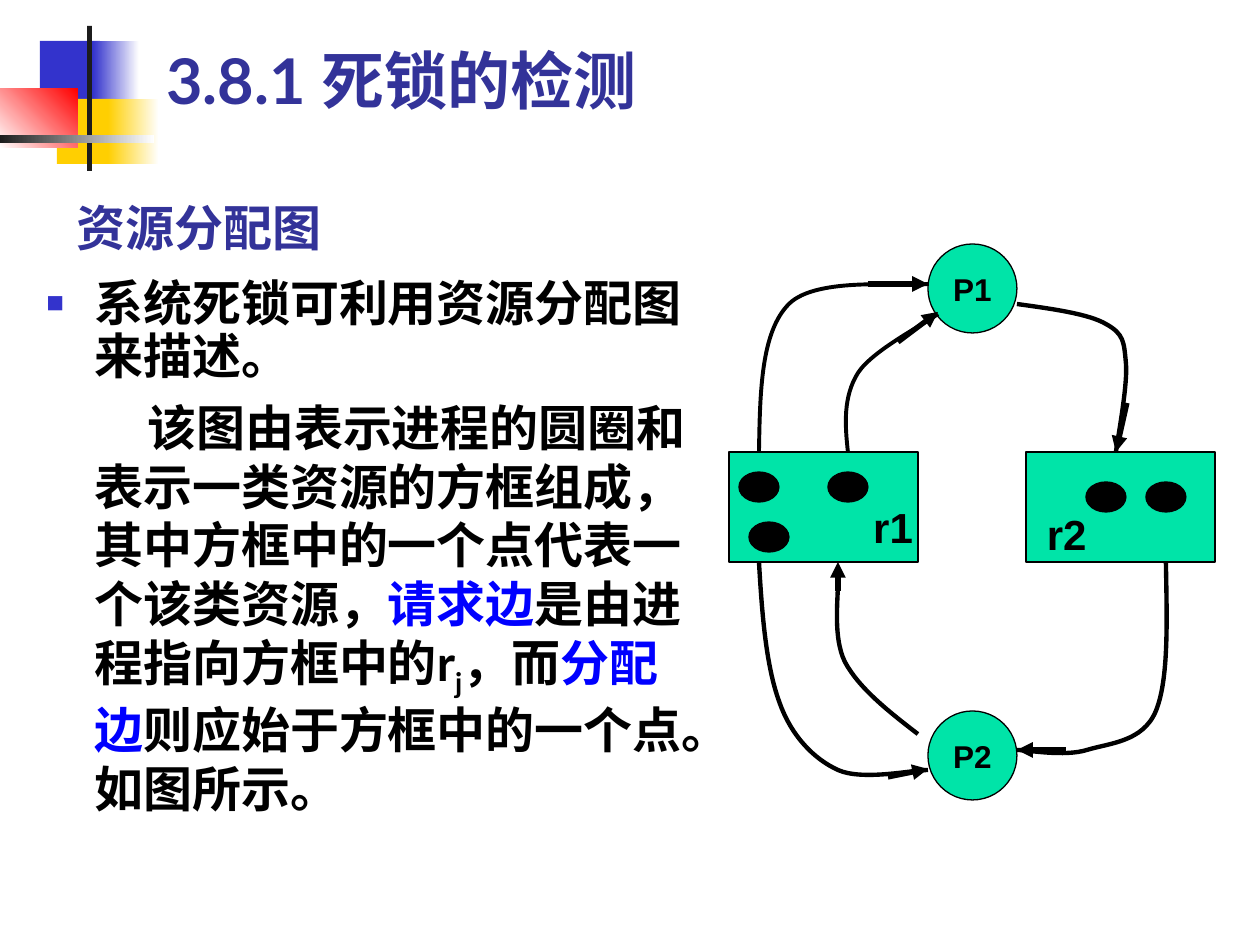
from lxml.etree import SubElement
from pptx import Presentation
from pptx.dml.color import RGBColor
from pptx.enum.shapes import MSO_CONNECTOR, MSO_SHAPE
from pptx.enum.text import MSO_ANCHOR, PP_ALIGN
from pptx.oxml.ns import qn
from pptx.util import Pt

PX = 914400 // 126  # EMU per px

INDIGO = RGBColor(0x33, 0x33, 0x99)
BLUE = RGBColor(0x33, 0x33, 0xCC)
LINK_BLUE = RGBColor(0x00, 0x00, 0xFF)
YELLOW = RGBColor(0xFF, 0xCF, 0x01)
RED = RGBColor(0xFF, 0x00, 0x00)
CHARCOAL = RGBColor(0x1C, 0x1C, 0x1C)
GREEN = RGBColor(0x00, 0xE4, 0xA8)
BLACK = RGBColor(0x00, 0x00, 0x00)
WHITE = RGBColor(0xFF, 0xFF, 0xFF)

# box, colours (two make a gradient), gradient angle
DECORATION = [
    ((40, 41, 60, 65), (BLUE,), 0),
    ((93, 41, 46, 65), (BLUE, WHITE), 0),
    ((57, 99, 58, 65), (YELLOW,), 0),
    ((108, 99, 51, 65), (YELLOW, WHITE), 0),
    ((0, 89, 78, 59), (WHITE, RED), 45),
    ((87, 26, 5, 145), (CHARCOAL,), 0),
    ((0, 135, 154, 8), (CHARCOAL, WHITE), 0),
]

# text, box, size
HEADINGS = [
    ("资源分配图", (64, 185, 427, 78), 28),
    ("3.8.1 死锁的检测", (154, 35, 1074, 88), 36),
]

BODY_BOX = (34, 273, 674, 567)
HANGING = 48
FIRST_LINE = 53
INTRO = "系统死锁可利用资源分配图来描述。"
# text, colour, baseline shift in thousandths of a percent
EXPLANATION = [
    ("该图由表示进程的圆圈和表示一类资源的方框组成，其中方框中的一个点代表一个该类资源，", BLACK, 0),
    ("请求边", LINK_BLUE, 0),
    ("是由进程指向方框中的r", BLACK, 0),
    ("j", BLACK, -25000),
    ("，而", BLACK, 0),
    ("分配边", LINK_BLUE, 0),
    ("则应始于方框中的一个点。如图所示。", BLACK, 0),
]

PROCESS_SIZE = 89
PROCESSES = [("P1", 928, 244), ("P2", 928, 711)]
RESOURCE_SIZE = (189, 110)
# label, left, top, alignment, side inset, bottom inset
RESOURCES = [
    ("r1", 729, 452, PP_ALIGN.RIGHT, 5, 10),
    ("r2", 1026, 452, PP_ALIGN.LEFT, 21, 3),
]
DOT_SIZE = (40, 30)
DOTS = [(739, 472), (828, 472), (749, 522), (1086, 482), (1146, 482)]

# Bezier points (start, then three per curve), width, arrow start and end
EDGES = [
    ([(918, 734), (888, 711), (859, 688), (845, 662), (832, 636), (839, 593), (838, 578)],
     2.5, (838, 591), (838, 562)),
    ([(759, 452), (760, 392), (761, 332), (789, 304), (817, 276), (905, 287), (928, 284)],
     2.25, (868, 284), (928, 284)),
    ([(848, 452), (845, 425), (843, 397), (858, 373), (873, 350), (925, 324), (938, 314)],
     2.25, (898, 342), (938, 312)),
    ([(1017, 304), (1053, 309), (1089, 314), (1106, 324), (1124, 334), (1124, 342),
      (1126, 363), (1128, 384), (1118, 437), (1116, 452)],
     2.5, (1127, 403), (1116, 452)),
    ([(1166, 562), (1167, 620), (1169, 679), (1156, 711), (1143, 742), (1110, 743),
      (1087, 750), (1064, 757), (1028, 750), (1017, 750)],
     2.5, (1066, 750), (1017, 750)),
    ([(759, 562), (762, 614), (766, 665), (779, 701), (791, 736), (814, 759),
      (838, 770), (863, 781), (912, 770), (928, 770)],
     2.5, (888, 777), (928, 769)),
]


def scaled(values):
    return [value * PX for value in values]


def set_font(font, size, name, color):
    font.size, font.name, font.bold = Pt(size), name, True
    font.color.rgb = color


def add_box(kind, box, colors, angle=0, outlined=True):
    shape = slide.shapes.add_shape(kind, *scaled(box))
    shape.shadow.inherit = False
    if len(colors) == 1:
        shape.fill.solid()
        shape.fill.fore_color.rgb = colors[0]
    else:
        shape.fill.gradient()
        shape.fill.gradient_angle = angle
        for stop, color in zip(shape.fill.gradient_stops, colors):
            stop.color.rgb = color
    if outlined:
        shape.line.color.rgb = BLACK
        shape.line.width = Pt(0.75)
    else:
        shape.line.fill.background()
    return shape


def add_label(shape, text, size, align, anchor, insets):
    frame = shape.text_frame
    frame.word_wrap = True
    frame.vertical_anchor = anchor
    (frame.margin_left, frame.margin_top,
     frame.margin_right, frame.margin_bottom) = scaled(insets)
    label = frame.paragraphs[0]
    label.text = text
    label.alignment = align
    set_font(label.font, size, "Arial", BLACK)


def add_heading(text, box, size):
    frame = slide.shapes.add_textbox(*scaled(box)).text_frame
    frame.word_wrap = True
    frame.vertical_anchor = MSO_ANCHOR.BOTTOM
    heading = frame.paragraphs[0]
    heading.text = text
    set_font(heading.font, size, "Lato", INDIGO)


def set_indent(paragraph, first):
    props = paragraph._p.get_or_add_pPr()
    props.set("marL", str(HANGING * PX))
    props.set("indent", str(first * PX))
    return props


def add_body():
    frame = slide.shapes.add_textbox(*scaled(BODY_BOX)).text_frame
    frame.word_wrap = True
    intro = frame.paragraphs[0]
    intro.text = INTRO
    intro.line_spacing = 0.9
    props = set_indent(intro, -HANGING)
    SubElement(SubElement(props, qn("a:buClr")), qn("a:srgbClr"), val=str(BLUE))
    SubElement(props, qn("a:buSzPct"), val="60000")
    SubElement(props, qn("a:buFont"), typeface="Arial")
    SubElement(props, qn("a:buChar"), char="■")
    set_font(intro.font, 28, "Lato", BLACK)

    explanation = frame.add_paragraph()
    explanation.space_before = Pt(7)
    set_indent(explanation, FIRST_LINE)
    set_font(explanation.font, 28, "Lato", BLACK)
    for text, color, baseline in EXPLANATION:
        run = explanation.add_run()
        run.text = text
        run.font.color.rgb = color
        if baseline:
            run.font._element.set("baseline", str(baseline))


def add_curve(points, width):
    """Draw an outline through the points, then turn each three segments into a Bezier."""
    builder = slide.shapes.build_freeform(*points[0], scale=PX)
    builder.add_line_segments(points[1:], close=False)
    curve = builder.convert_to_shape()
    curve.shadow.inherit = False
    curve.fill.background()
    curve.line.color.rgb = BLACK
    curve.line.width = Pt(width)
    outline = next(curve._element.iter(qn("a:path")))
    segments = outline.findall(qn("a:lnTo"))
    for i in range(0, len(segments), 3):
        bezier = SubElement(outline, qn("a:cubicBezTo"))
        for segment in segments[i:i + 3]:
            bezier.append(segment[0])
            outline.remove(segment)


def add_arrow(start, end):
    arrow = slide.shapes.add_connector(MSO_CONNECTOR.STRAIGHT, *scaled(start + end))
    arrow.line.color.rgb = BLACK
    arrow.line.width = Pt(3)
    SubElement(arrow.line._get_or_add_ln(), qn("a:tailEnd"), type="triangle")
    SubElement(arrow._element.spPr, qn("a:effectLst"))


prs = Presentation()
prs.slide_width, prs.slide_height = scaled((1260, 945))
slide = prs.slides.add_slide(prs.slide_layouts[6])

for box, colors, angle in DECORATION:
    add_box(MSO_SHAPE.RECTANGLE, box, colors, angle, outlined=False)
for text, box, size in HEADINGS:
    add_heading(text, box, size)
add_body()
for text, left, top, align, side, bottom in RESOURCES:
    resource = add_box(MSO_SHAPE.RECTANGLE, (left, top, *RESOURCE_SIZE), (GREEN,))
    add_label(resource, text, 24, align, MSO_ANCHOR.BOTTOM, (side, 0, side, bottom))
for text, left, top in PROCESSES:
    process = add_box(MSO_SHAPE.OVAL, (left, top, PROCESS_SIZE, PROCESS_SIZE), (GREEN,))
    add_label(process, text, 18, PP_ALIGN.CENTER, MSO_ANCHOR.MIDDLE, (0, 6, 0, 6))
for left, top in DOTS:
    add_box(MSO_SHAPE.OVAL, (left, top, *DOT_SIZE), (BLACK,))
for points, width, start, end in EDGES:
    add_curve(points, width)
    add_arrow(start, end)

prs.save("out.pptx")
